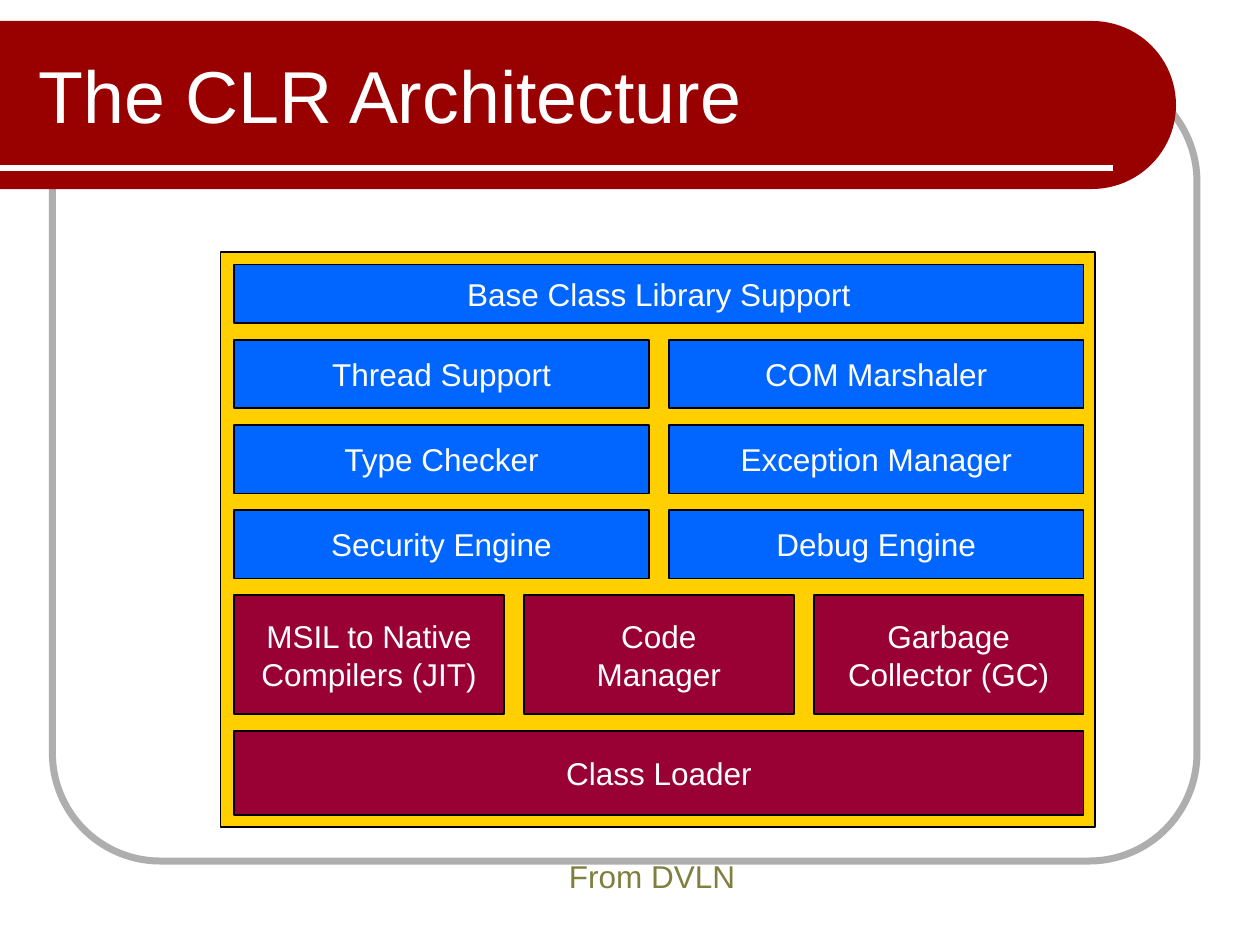
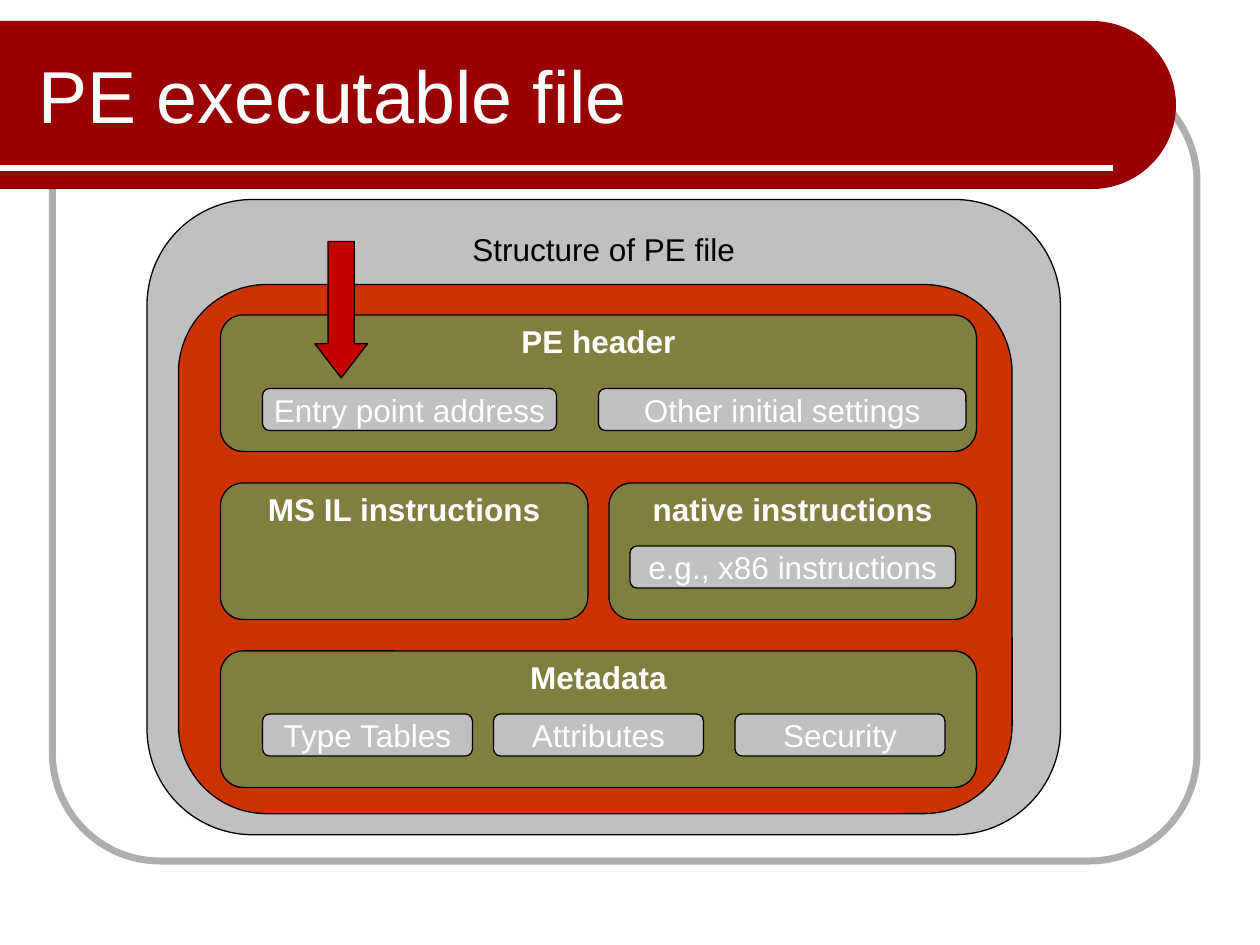
from math import cos, pi, sin

from lxml.etree import SubElement
from pptx import Presentation
from pptx.dml.color import RGBColor as Rgb
from pptx.enum.shapes import MSO_CONNECTOR as Connector, MSO_SHAPE as Shape
from pptx.enum.text import MSO_ANCHOR as Anchor, MSO_AUTO_SIZE as AutoSize, PP_ALIGN as Align
from pptx.oxml.ns import qn
from pptx.util import Inches, Pt

COLORS = {
    "white": "FFFFFF", "black": "000000", "banner": "990000", "frame": "AEAEAE",
    "gold": "FFCF00", "blue": "0066FF", "wine": "990033", "silver": "C0C0C0",
    "orange": "CC3300", "olive": "817F3F", "arrow": "C30000",
}
COLUMNS, ROWS = 120, 90
CELL = Inches(10) // COLUMNS


def color(name):
    """Return the named colour."""
    return Rgb.from_string(COLORS[name])


def cells(*counts):
    """Turn grid counts into lengths."""
    return [round(count * CELL) for count in counts]


def write(box, text, size=18, ink="white", bold=False, align=Align.CENTER,
          anchor=Anchor.MIDDLE, wrap=False, top=0.05):
    """Put formatted text into a shape, one paragraph a line."""
    frame = box.text_frame
    frame.word_wrap = wrap
    frame.vertical_anchor = anchor
    frame.margin_left = frame.margin_right = Inches(0.1)
    frame.margin_top, frame.margin_bottom = Inches(top), Inches(0.05)
    for index, line in enumerate(text.split("\n")):
        para = frame.paragraphs[0] if index == 0 else frame.add_paragraph()
        para.alignment = align
        span = para.add_run()
        span.text = line
        span.font.name, span.font.size = "Arial", Pt(size)
        span.font.bold, span.font.color.rgb = bold, color(ink)


class Painter:
    """Draws styled elements on the current slide of a deck."""

    def __init__(self):
        """Open a deck ten inches wide."""
        self.deck = Presentation()
        self.deck.slide_width, self.deck.slide_height = cells(COLUMNS, ROWS)
        self.page = None

    def new_page(self, title):
        """Start a slide with the shared frame, banner, rule and title."""
        self.page = self.deck.slides.add_slide(self.deck.slide_layouts[6])
        frame = self.box(Shape.ROUNDED_RECTANGLE, (5, 7, 109, 75), None, "frame", 4)
        frame.adjustments[0] = 0.137
        self.banner(right=104, middle=10, radius=8)
        self.rule((0, 16), (106, 16))
        self.label((2.5, 3, 93.5, 12), title, size=42, wrap=True)

    def banner(self, right, middle, radius, steps=48):
        """Draw the title band with its half-round right end."""
        angles = [pi * (step / steps - 0.5) for step in range(steps + 1)]
        outline = [cells(right + radius * cos(angle), middle + radius * sin(angle))
                   for angle in angles]
        builder = self.page.shapes.build_freeform(*cells(0, middle - radius))
        builder.add_line_segments(outline + [cells(0, middle + radius)])
        band = builder.convert_to_shape()
        band.shadow.inherit = False
        band.fill.solid()
        band.fill.fore_color.rgb = color("banner")
        band.line.fill.background()

    def rule(self, start, end):
        """Draw a white line."""
        line = self.page.shapes.add_connector(Connector.STRAIGHT, *cells(*start, *end))
        line.line.color.rgb, line.line.width = color("white"), Pt(3)
        SubElement(line._element.spPr, qn("a:effectLst"))

    def box(self, kind, area, fill, edge="black", width=0.75, text=None, **style):
        """Draw a preset shape, with text if given."""
        box = self.page.shapes.add_shape(kind, *cells(*area))
        box.shadow.inherit = False
        if fill:
            box.fill.solid()
            box.fill.fore_color.rgb = color(fill)
        else:
            box.fill.background()
        box.line.color.rgb, box.line.width = color(edge), Pt(width)
        if text:
            write(box, text, **style)
        return box

    def label(self, area, text, **style):
        """Add left-aligned free text."""
        box = self.page.shapes.add_textbox(*cells(*area))
        write(box, text, align=Align.LEFT, **style)
        return box

    def band(self, left, top, width, height, gap, fill, names):
        """Split a row into equal rectangles."""
        part = (width - gap * (len(names) - 1)) / len(names)
        for index, name in enumerate(names):
            area = (left + index * (part + gap), top, part, height)
            self.box(Shape.RECTANGLE, area, fill, width=1, text=name)

    def panel(self, area, fill, text=None, **style):
        """Draw a rounded panel with its heading at the top."""
        self.box(Shape.ROUNDED_RECTANGLE, area, fill, text=text,
                 anchor=Anchor.TOP, top=0, **style)

    def chip(self, left, top, width, text):
        """Draw a small silver field."""
        self.box(Shape.ROUNDED_RECTANGLE, (left, top, width, 4), "silver", text=text)


def draw_architecture(painter):
    """Build the stack of runtime components."""
    painter.new_page("The CLR Architecture")
    painter.box(Shape.RECTANGLE, (21, 24, 83.3, 54.8), "gold", width=1)
    layers = [
        (5.6, "blue", ["Base Class Library Support"]),
        (6.5, "blue", ["Thread Support", "COM Marshaler"]),
        (6.5, "blue", ["Type Checker", "Exception Manager"]),
        (6.5, "blue", ["Security Engine", "Debug Engine"]),
        (11.3, "wine", ["MSIL to Native\nCompilers (JIT)", "Code\nManager",
                        "Garbage\nCollector (GC)"]),
        (8, "wine", ["Class Loader"]),
    ]
    top = 25.2
    for height, fill, names in layers:
        painter.band(22.3, top, 80.9, height, 1.9, fill, names)
        top += height + 1.6
    source = painter.label((53, 81, 19.1, 4.8), "From DVLN", ink="olive", anchor=Anchor.TOP)
    source.text_frame.auto_size = AutoSize.SHAPE_TO_FIT_TEXT


def draw_executable(painter):
    """Build the nested parts of the executable file."""
    painter.new_page("PE executable file")
    painter.panel((14, 19, 87, 60.5), "silver", "Structure of PE file", ink="black")
    painter.panel((17, 27.1, 79.4, 50.4), "orange")
    first, second, third = (30 + 16 * row for row in range(3))
    sections = [
        (21, first, 72, "PE header"),
        (21, second, 35, "MS IL instructions"),
        (58, second, 35, "native instructions"),
        (21, third, 72, "Metadata"),
    ]
    for left, top, width, heading in sections:
        painter.panel((left, top, width, 13), "olive", heading, bold=True)
    fields = [
        (25, first + 7, 28, "Entry point address"),
        (57, first + 7, 35, "Other initial settings"),
        (60, second + 6, 31, "e.g., x86 instructions"),
        (25, third + 6, 20, "Type Tables"),
        (47, third + 6, 20, "Attributes"),
        (70, third + 6, 20, "Security"),
    ]
    for field in fields:
        painter.chip(*field)
    arrow = painter.box(Shape.DOWN_ARROW, (30, 23, 5, 13), "arrow")
    arrow.adjustments[0], arrow.adjustments[1] = 0.5, 0.65


def main():
    """Build and save the deck."""
    painter = Painter()
    draw_architecture(painter)
    draw_executable(painter)
    painter.deck.save("out.pptx")


if __name__ == "__main__":
    main()
